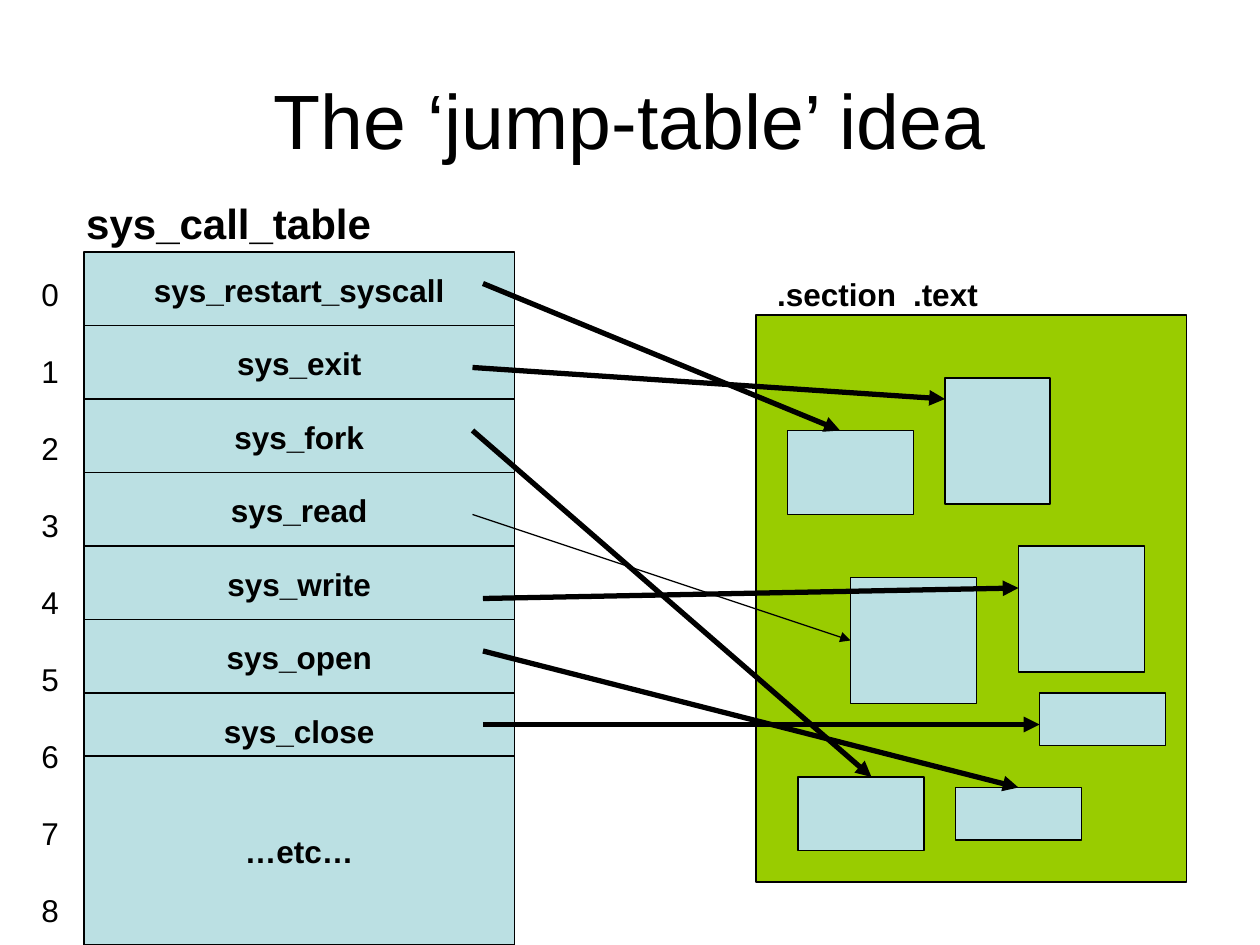
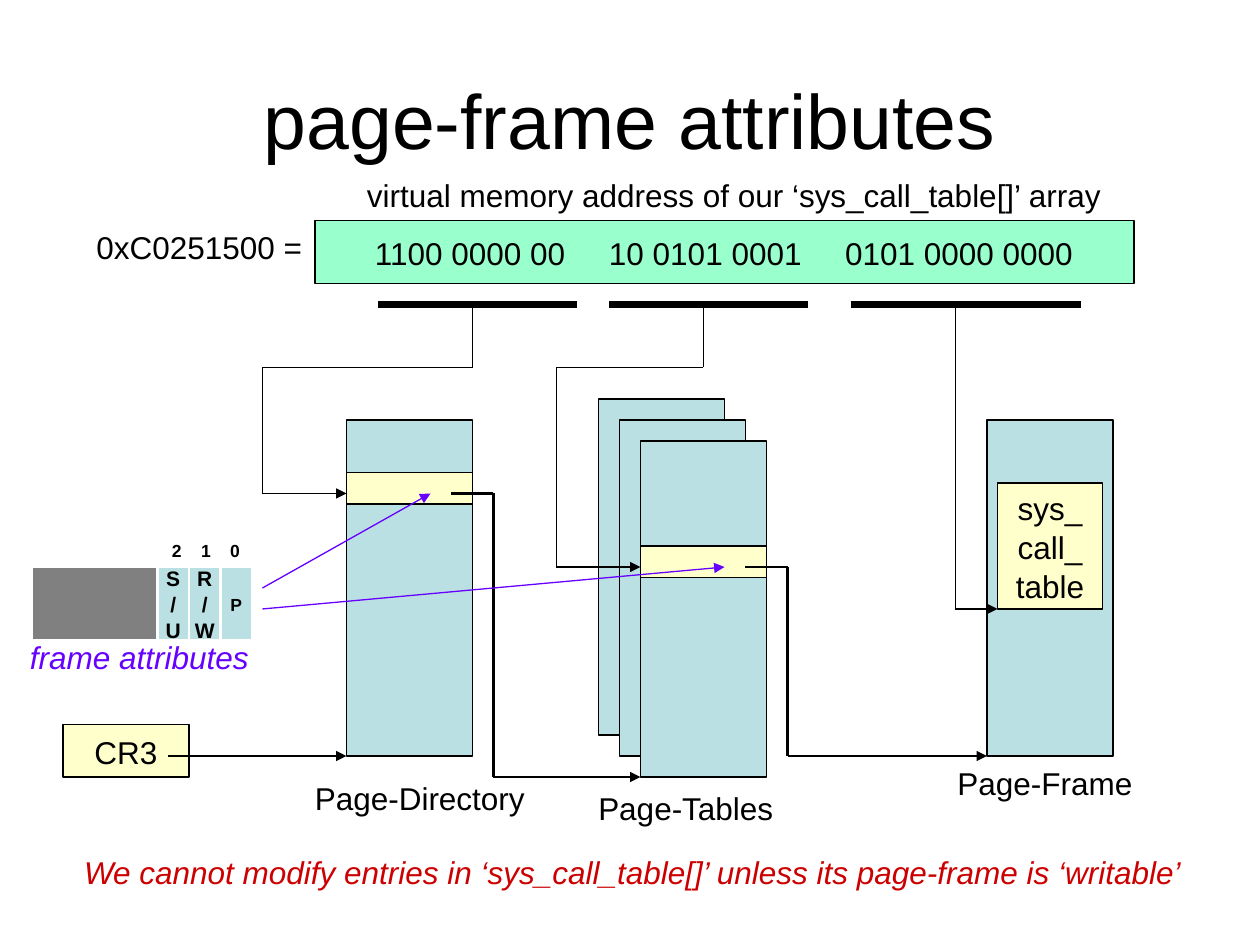
from itertools import pairwise
from lxml.etree import SubElement
from pptx import Presentation
from pptx.dml.color import RGBColor
from pptx.enum.shapes import MSO_CONNECTOR, MSO_SHAPE
from pptx.enum.text import MSO_ANCHOR, PP_ALIGN
from pptx.oxml.ns import qn
from pptx.util import Pt

BLACK = RGBColor(0, 0, 0)
WHITE = RGBColor(255, 255, 255)
BLUE = RGBColor(0xBB, 0xE0, 0xE3)
LIME = RGBColor(0x99, 0xCC, 0)
MINT = RGBColor(0x99, 0xFF, 0xCC)
CREAM = RGBColor(255, 255, 0xCC)
GREY = RGBColor(0x80, 0x80, 0x80)
VIOLET = RGBColor(0x66, 0, 255)
RED = RGBColor(0xCC, 0, 0)
FONT = "Arial"
LEADING = 1.04

# Jump table: entry name, code block, arrow start, arrow end, arrow width
CALLS = [
    ("sys_restart_syscall", (450, 246, 72, 48), (276, 162), (480, 246), 3),
    ("sys_exit", (540, 216, 60, 72), (270, 210), (540, 228), 3),
    ("sys_fork", (456, 444, 72, 42), (270, 246), (498, 444), 3),
    ("sys_read", (486, 330, 72, 72), (270, 294), (486, 366), 0.75),
    ("sys_write", (582, 312, 72, 72), (276, 342), (582, 336), 3),
    ("sys_open", (546, 450, 72, 30), (276, 372), (582, 450), 3),
    ("sys_close", (594, 396, 72, 30), (276, 414), (594, 414), 3),
]
TABLE_X, TABLE_Y, TABLE_W, ROW_H = 48, 144, 246, 42
ETC = (TABLE_X, 432, TABLE_W, 108)
SECTION = (432, 180, 246, 324)
INDEXES = [str(n) for n in range(9)]

# Page frames
PAGE_W, PAGE_H = 72, 192
PAGES = [(198, 240), (342, 228), (354, 240), (366, 252), (564, 240)]
ENTRIES = [(198, 270), (366, 312)]
LABELS = [
    ("0xC0251500 =", (48, 126, 140, 29)),
    ("Page-Directory", (172.8, 440.6, 140, 29)),
    ("Page-Tables", (334.8, 446.4, 130, 29)),
    ("Page-Frame", (540, 432, 130, 29)),
    ("virtual memory address of our ‘sys_call_table[]’ array",
     (202.6, 96, 460, 29)),
]
FLAGS = [("S/U", 12), ("R/W", 12), ("P", 10)]
FLAG_X, FLAG_Y, FLAG_W = 90, 324, 18
BAR_Y = 174
BARS = [(216, 330), (348, 462), (486, 618)]
ROUTES = [
    (BLACK, 0.75, [(270, 174), (270, 210), (150, 210), (150, 282),
                   (198, 282)]),
    (BLACK, 0.75, [(402, 174), (402, 210), (318, 210), (318, 324),
                   (366, 324)]),
    (BLACK, 0.75, [(546, 174), (546, 348), (570, 348)]),
    (BLACK, 1.5, [(96, 432), (198, 432)]),
    (BLACK, 1.5, [(258, 282), (282, 282), (282, 444), (366, 444)]),
    (BLACK, 1.5, [(426, 324), (450, 324), (450, 432), (564, 432)]),
    (VIOLET, 0.75, [(150, 336), (246, 282)]),
    (VIOLET, 0.75, [(150, 348), (414, 324)]),
]


def place(spot):
    return [Pt(v) for v in spot]


def write(frame, lines, size=18, color=BLACK, bold=False, italic=False,
          align=PP_ALIGN.LEFT, tabs=(), gap=0):
    """Fill a frame, one paragraph a line; tabs and gap are in points."""
    for n, line in enumerate(lines):
        para = frame.add_paragraph() if n else frame.paragraphs[0]
        para.alignment = align
        para.line_spacing = LEADING
        if n and gap:
            para.space_before = Pt(gap)
        if tabs:
            stops = SubElement(para._p.get_or_add_pPr(), qn("a:tabLst"))
            for tab in tabs:
                SubElement(stops, qn("a:tab"), pos=str(int(Pt(tab))), algn="l")
        run = para.add_run()
        run.text = line
        font = run.font
        font.name, font.size = FONT, Pt(size)
        font.bold, font.italic = bold, italic
        font.color.rgb = color


def label(slide, spot, lines, **style):
    frame = slide.shapes.add_textbox(*place(spot)).text_frame
    frame.word_wrap = True
    write(frame, lines, **style)


def box(slide, spot, fill=BLUE, lines=(), edge=BLACK, width=0.75, **style):
    shape = slide.shapes.add_shape(MSO_SHAPE.RECTANGLE, *place(spot))
    shape.shadow.inherit = False
    shape.fill.solid()
    shape.fill.fore_color.rgb = fill
    shape.line.color.rgb = edge
    shape.line.width = Pt(width)
    frame = shape.text_frame
    frame.word_wrap = False
    frame.vertical_anchor = MSO_ANCHOR.MIDDLE
    write(frame, lines, **{"align": PP_ALIGN.CENTER, **style})
    return frame


def link(slide, start, end, width, color=BLACK, head=True):
    line = slide.shapes.add_connector(
        MSO_CONNECTOR.STRAIGHT, *place(start + end))
    line.line.color.rgb = color
    line.line.width = Pt(width)
    if head:
        SubElement(line.line._get_or_add_ln(), qn("a:tailEnd"),
                   type="triangle")
    SubElement(line._element.spPr, qn("a:effectLst"))


def start(deck, text):
    slide = deck.slides.add_slide(deck.slide_layouts[5])
    title = slide.shapes.title
    title.left, title.top, title.width, title.height = place(
        (36, 21.6, 648, 90))
    title.text_frame.vertical_anchor = MSO_ANCHOR.MIDDLE
    write(title.text_frame, [text], size=44, align=PP_ALIGN.CENTER)
    return slide


def jump(deck):
    slide = start(deck, "The ‘jump-table’ idea")
    for n, (name, *_) in enumerate(CALLS):
        box(slide, (TABLE_X, TABLE_Y + n * ROW_H, TABLE_W, ROW_H),
            lines=[name], bold=True)
    box(slide, ETC, lines=["…etc…"], bold=True)
    label(slide, (42.2, 108, 200, 36), ["sys_call_table"], size=24, bold=True)
    box(slide, SECTION, LIME)
    label(slide, (437, 152.6, 150, 29), [".section\t.text"], bold=True,
          tabs=[77.7])
    label(slide, (16.6, 152.6, 26, 380), INDEXES, gap=21.6)
    for _, spot, tail, tip, width in CALLS:
        box(slide, spot)
        link(slide, tail, tip, width)


def frames(deck):
    slide = start(deck, "page-frame attributes")
    for x, y in PAGES:
        box(slide, (x, y, PAGE_W, PAGE_H))
    for x, y in ENTRIES:
        box(slide, (x, y, PAGE_W, 18), CREAM)
    bits = box(slide, (180, 126, 468, 36), MINT,
               ["1100 0000 00\t10 0101 0001\t0101 0000 0000"],
               align=PP_ALIGN.LEFT, tabs=[133.7, 268.6])
    bits.word_wrap = True
    bits.margin_left = Pt(34.3)
    box(slide, (36, 414, 72, 30), CREAM, ["CR3"])
    box(slide, (570, 276, 60, 72), CREAM, ["sys_", "call_", "table"])
    for text, spot in LABELS:
        label(slide, spot, [text])

    for left, right in BARS:
        link(slide, (left, BAR_Y), (right, BAR_Y), 4.5, head=False)

    box(slide, (18, FLAG_Y, 126, ROW_H), GREY, edge=WHITE, width=1.5)
    for n, (flag, size) in enumerate(FLAGS):
        box(slide, (FLAG_X + n * FLAG_W, FLAG_Y, FLAG_W, ROW_H),
            lines=list(flag), edge=WHITE, width=1.5, size=size, bold=True)
    label(slide, (91.2, 304.6, 60, 19.4), ["2\t1\t0"], size=10, bold=True,
          tabs=[16.6, 33.2])
    label(slide, (10, 360, 150, 29), ["frame attributes"], color=VIOLET,
          italic=True)

    for color, width, points in ROUTES:
        for a, b in pairwise(points):
            link(slide, a, b, width, color, head=b == points[-1])
    label(slide, (41, 483, 665, 29),
          ["We cannot modify entries in ‘sys_call_table[]’ "
           "unless its page-frame is ‘writable’"], color=RED, italic=True)


def main():
    deck = Presentation()
    deck.slide_width, deck.slide_height = Pt(720), Pt(540)
    jump(deck)
    frames(deck)
    deck.save("out.pptx")


if __name__ == "__main__":
    main()
